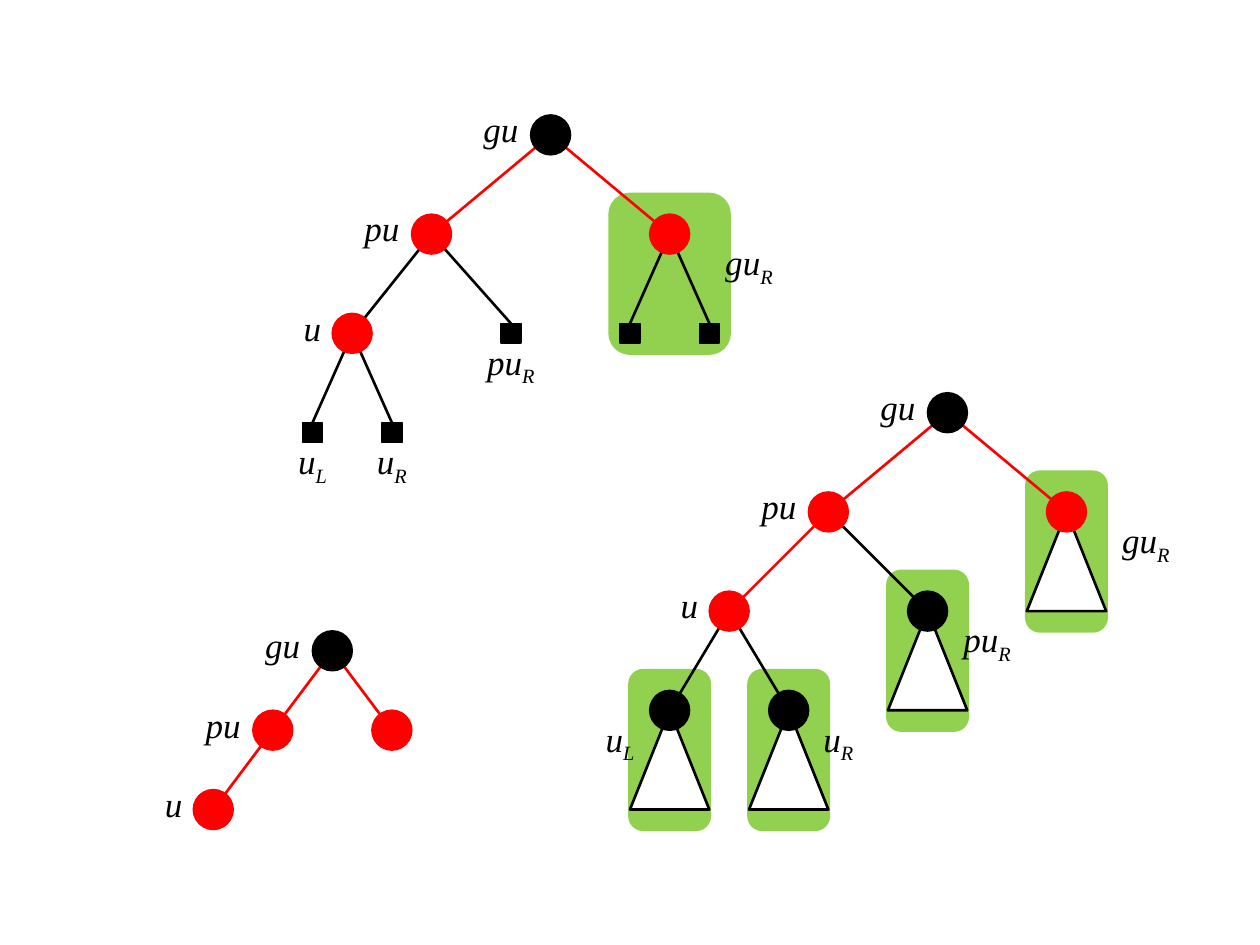
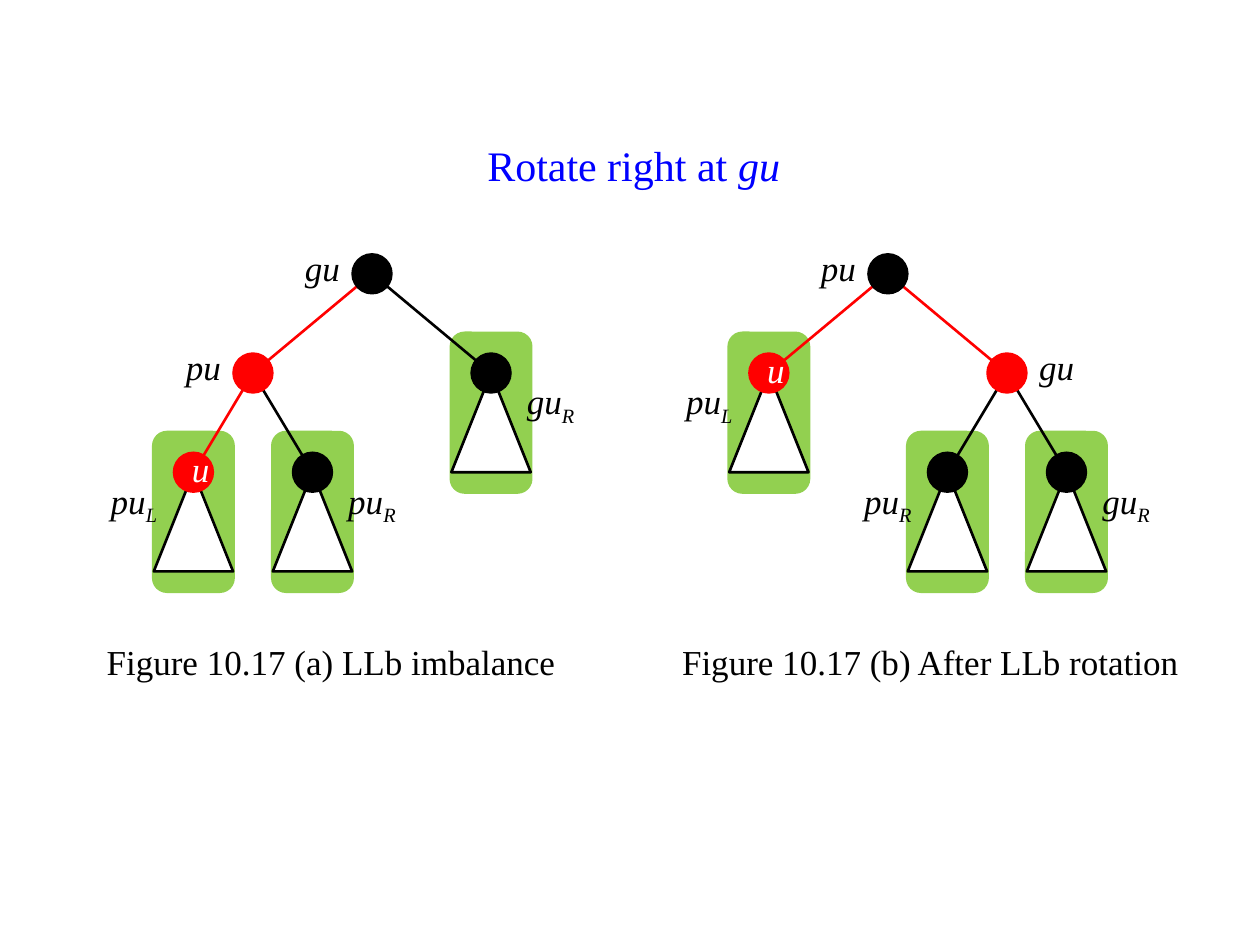
from dataclasses import dataclass

from lxml import etree
from pptx import Presentation
from pptx import util as u
from pptx.dml.color import RGBColor
from pptx.enum import shapes, text
from pptx.oxml import ns

# Shared look
COLOURS = {"black": "000000", "red": "FF0000", "green": "92D050",
           "white": "FFFFFF", "blue": "0000FF"}
FONT = "Times New Roman"
NODE, LEAF, HALF_NODE = 0.8, 0.4, 0.4
SUBTREE_WIDTH, SUBTREE_HEIGHT = 1.6, 2
BOX_HEIGHT, BOX_RISE = 3.2, 0.8
LABEL_HEIGHT = 0.8

# Label places: direction, gap from the node centre, drop of the label top
SIDES = {"left": (-1, 0.4, -0.4), "right": (1, 0.4, -0.4),
         "lower left": (-1, 0.4, 0.4), "lower right": (1, 0.4, 0.4),
         "far right": (1, 0.8, 0.4), "below": (0, 0, 0.4)}


@dataclass
class Node:
    x: float  # centimetres from the root
    y: float
    colour: str
    label: str = ""  # "_" starts a subscript
    side: str = "left"
    parent: int = -1  # index in the tree, -1 for the root
    edge: str = "black"
    leaf: bool = False
    subtree: bool = False
    box: float = 0  # width of the green box
    inside: str = ""


def leaf(x, y, parent, label=""):
    return Node(x, y, "black", label, "below", parent, leaf=True)


def subtree(x, y, parent, label, side, colour="black", edge="black", inside=""):
    return Node(x, y, colour, label, side, parent, edge, subtree=True,
                box=SUBTREE_WIDTH, inside=inside)


# Trees: root position, label fill, nodes
LEAF_TREE = ((11.1, 2.72), None, [
    Node(0, 0, "black", "gu"),
    Node(-2.4, 2, "red", "pu", parent=0, edge="red"),
    Node(2.4, 2, "red", "gu_R", "far right", 0, "red", box=2.4),
    Node(-4, 4, "red", "u", parent=1),
    leaf(-0.8, 4, 1, "pu_R"),
    leaf(1.6, 4, 2),
    leaf(3.2, 4, 2),
    leaf(-4.8, 6, 3, "u_L"),
    leaf(-3.2, 6, 3, "u_R"),
])
SUBTREE_TREE = ((19.1, 8.32), None, [
    Node(0, 0, "black", "gu"),
    Node(-2.4, 2, "red", "pu", parent=0, edge="red"),
    subtree(2.4, 2, 0, "gu_R", "far right", "red", "red"),
    Node(-4.4, 4, "red", "u", parent=1, edge="red"),
    subtree(-0.4, 4, 1, "pu_R", "lower right"),
    subtree(-5.6, 6, 3, "u_L", "lower left"),
    subtree(-3.2, 6, 3, "u_R", "lower right"),
])
SMALL_TREE = ((6.7, 13.12), "white", [
    Node(0, 0, "black", "gu"),
    Node(-1.2, 1.6, "red", "pu", parent=0, edge="red"),
    Node(1.2, 1.6, "red", parent=0, edge="red"),
    Node(-2.4, 3.2, "red", "u", parent=1, edge="red"),
])
BEFORE_ROTATION = ((7.5, 5.52), None, [
    Node(0, 0, "black", "gu"),
    Node(-2.4, 2, "red", "pu", parent=0, edge="red"),
    subtree(2.4, 2, 0, "gu_R", "lower right"),
    subtree(-3.6, 4, 1, "pu_L", "lower left", "red", "red", "u"),
    subtree(-1.2, 4, 1, "pu_R", "lower right"),
])
AFTER_ROTATION = ((17.9, 5.52), None, [
    Node(0, 0, "black", "pu"),
    subtree(-2.4, 2, 0, "pu_L", "lower left", "red", "red", "u"),
    Node(2.4, 2, "red", "gu", "right", 0, "red"),
    subtree(1.2, 4, 2, "pu_R", "lower left"),
    subtree(3.6, 4, 2, "gu_R", "lower right"),
])

# Headings: left, top, width, text pieces, format
HEADINGS = [
    (1.9, 12.73, 9.6, [("Figure 10.17 (a) LLb imbalance", {})], {}),
    (13.5, 12.73, 10.4, [("Figure 10.17 (b) After LLb rotation", {})], {}),
    (9.5, 2.72, 6.4, [("Rotate right at ", {}), ("gu", {"italic": True})],
     {"size": 24, "colour": "blue", "align": "CENTER"}),
]

SLIDES = [
    ([LEAF_TREE, SUBTREE_TREE, SMALL_TREE], []),
    ([BEFORE_ROTATION, AFTER_ROTATION], HEADINGS),
]


def rgb(name):
    return RGBColor.from_string(COLOURS[name])


def write_text(shape, pieces, size=20, colour="black", align="LEFT",
               anchor="MIDDLE", margins=(0.25, 0.13, 0.1, 0.13)):
    """Fill a shape with one paragraph of (text, format) pieces."""
    frame = shape.text_frame
    frame.word_wrap = True
    frame.vertical_anchor = getattr(text.MSO_ANCHOR, anchor)
    (frame.margin_left, frame.margin_top,
     frame.margin_right, frame.margin_bottom) = map(u.Cm, margins)
    paragraph = frame.paragraphs[0]
    paragraph.alignment = getattr(text.PP_ALIGN, align)
    for words, style in pieces:
        run = paragraph.add_run()
        run.text = words
        run.font.name = FONT
        run.font.size = u.Pt(size)
        run.font.color.rgb = rgb(colour)
        run.font.italic = style.get("italic", False)
        if style.get("subscript"):
            run._r.get_or_add_rPr().set("baseline", "-25000")


def add_textbox(slide, left, top, width, height, pieces, **style):
    box = slide.shapes.add_textbox(*map(u.Cm, (left, top, width, height)))
    write_text(box, pieces, **style)
    return box


def add_figure(slide, kind, centre, top, width, height, fill, line, weight):
    """Add a preset shape centred horizontally on a point."""
    shape = slide.shapes.add_shape(
        getattr(shapes.MSO_SHAPE, kind),
        *map(u.Cm, (centre - width / 2, top, width, height)))
    shape.shadow.inherit = False
    shape.fill.solid()
    shape.fill.fore_color.rgb = rgb(fill)
    shape.line.color.rgb = rgb(line)
    shape.line.width = u.Pt(weight)
    return shape


def add_edge(slide, start, end, colour):
    connector = slide.shapes.add_connector(
        shapes.MSO_CONNECTOR.STRAIGHT, *map(u.Cm, (*start, *end)))
    connector.line.color.rgb = rgb(colour)
    connector.line.width = u.Pt(1.5)
    etree.SubElement(connector._element.spPr, ns.qn("a:effectLst"))


def add_label(slide, node, x, y, fill):
    stem, _, subscript = node.label.partition("_")
    pieces = [(stem, {"italic": True})]
    if subscript:
        pieces.append((subscript, {"italic": True, "subscript": True}))
    width = 0.4 + 0.4 * len(stem + subscript)
    direction, gap, drop = SIDES[node.side]
    left = x + direction * (gap + width / 2) - width / 2
    box = add_textbox(slide, left, y + drop, width, LABEL_HEIGHT, pieces,
                      align="CENTER", anchor="BOTTOM", margins=(0.2, 0, 0.2, 0.1))
    if fill:
        box.fill.solid()
        box.fill.fore_color.rgb = rgb(fill)


def draw_tree(slide, root, label_fill, nodes):
    places = [(root[0] + node.x, root[1] + node.y) for node in nodes]
    placed = list(zip(nodes, places))

    # Green boxes at the back, then edges and subtree triangles
    for node, (x, y) in placed:
        if node.box:
            add_figure(slide, "FLOWCHART_ALTERNATE_PROCESS", x, y - BOX_RISE,
                       node.box, BOX_HEIGHT, "green", "green", 2)
    for node, (x, y) in placed:
        if node.parent >= 0:
            end = (x, y - LEAF / 2 if node.leaf else y)
            add_edge(slide, places[node.parent], end, node.edge)
    for node, (x, y) in placed:
        if node.subtree:
            add_figure(slide, "ISOSCELES_TRIANGLE", x, y, SUBTREE_WIDTH,
                       SUBTREE_HEIGHT, "white", "black", 1.5)

    # Labels and nodes in front
    for node, (x, y) in placed:
        if node.label:
            add_label(slide, node, x, y, label_fill)
    for node, (x, y) in placed:
        kind, size = ("RECTANGLE", LEAF) if node.leaf else ("OVAL", NODE)
        shape = add_figure(slide, kind, x, y - size / 2, size, size,
                           node.colour, node.colour, 1)
        if node.inside:
            write_text(shape, [(node.inside, {"italic": True})], colour="white",
                       align="CENTER", margins=(0.25, 0, 0.25, 0.15))


def main():
    presentation = Presentation()
    presentation.slide_width, presentation.slide_height = u.Cm(25.4), u.Cm(19.05)
    for trees, headings in SLIDES:
        slide = presentation.slides.add_slide(presentation.slide_layouts[6])
        for tree in trees:
            draw_tree(slide, *tree)
        for left, top, width, pieces, style in headings:
            add_textbox(slide, left, top, width, 1.2, pieces, **style)
    presentation.save("out.pptx")


if __name__ == "__main__":
    main()
